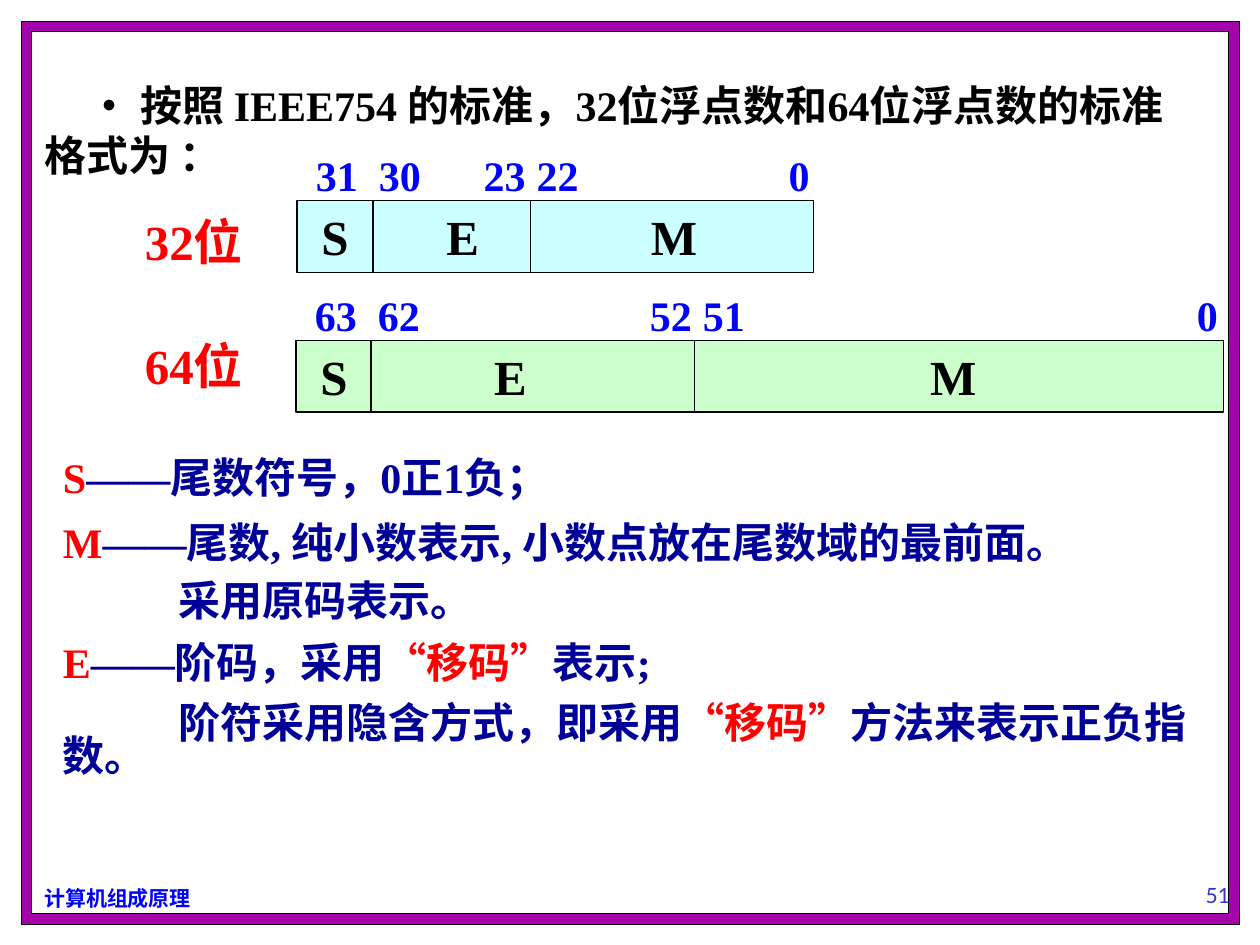
from lxml.etree import SubElement
from pptx import Presentation
from pptx.dml.color import RGBColor
from pptx.enum.shapes import MSO_CONNECTOR, MSO_SHAPE
from pptx.enum.text import MSO_ANCHOR, PP_ALIGN
from pptx.oxml.ns import qn
from pptx.util import Cm, Pt

BLACK = RGBColor(0x00, 0x00, 0x00)
WHITE = RGBColor(0xFF, 0xFF, 0xFF)
PURPLE = RGBColor(0xA6, 0x03, 0xAB)
RED = RGBColor(0xFF, 0x00, 0x00)
BLUE = RGBColor(0x00, 0x00, 0xFF)
NAVY = RGBColor(0x00, 0x00, 0x99)
INDIGO = RGBColor(0x33, 0x33, 0xCC)
CYAN = RGBColor(0xCC, 0xFF, 0xFF)
GREEN = RGBColor(0xCC, 0xFF, 0xCC)
SERIF = "Times New Roman"
HAN = "Noto Sans CJK SC"


def apply_format(target, values):
    """Set each named attribute of the target."""
    for name, value in values.items():
        setattr(target, name, value)


def add_span(paragraph, text, color, size=24, name=SERIF, bold=True):
    """Add one styled run, with a Chinese font for its Han characters."""
    span = paragraph.add_run()
    span.text = text
    apply_format(span.font, {"size": Pt(size), "bold": bold, "name": name})
    span.font.color.rgb = color
    SubElement(span.font._element, qn("a:ea"), typeface=HAN)


def set_indent(paragraph, indent):
    """Set the first-line indent in centimetres."""
    properties = paragraph._p.get_or_add_pPr()
    properties.set("marL", "0")
    properties.set("indent", str(Cm(indent)))


def add_text(page, left, top, width, height, text, color, **style):
    """Add a one-paragraph text box and return it."""
    box = page.shapes.add_textbox(Cm(left), Cm(top), Cm(width), Cm(height))
    box.text_frame.word_wrap = True
    add_span(box.text_frame.paragraphs[0], text, color, **style)
    return box


def add_panel(page, left, top, width, height, fill):
    """Add a filled rectangle with a thin black outline."""
    panel = page.shapes.add_shape(
        MSO_SHAPE.RECTANGLE, Cm(left), Cm(top), Cm(width), Cm(height))
    panel.shadow.inherit = False
    panel.fill.solid()
    panel.fill.fore_color.rgb = fill
    panel.line.color.rgb = BLACK
    panel.line.width = Pt(0.75)


def add_divider(page, x, top, height):
    """Add a vertical line between two fields."""
    line = page.shapes.add_connector(
        MSO_CONNECTOR.STRAIGHT, Cm(x), Cm(top), Cm(x), Cm(top + height))
    line.line.color.rgb = BLACK
    line.line.width = Pt(0.75)
    SubElement(line._element.spPr, qn("a:effectLst"))


def add_number_format(page, name, name_top, left, top, width, fill,
                      dividers, fields, bits):
    """Draw one floating-point layout with its fields and bit numbers."""
    height = 1.45
    add_panel(page, left, top, width, height, fill)
    for x in dividers:
        add_divider(page, x, top, height)
    for field, offset in fields.items():
        label = add_text(page, left + offset, top, 1.5, height,
                         field, BLACK, size=28)
        label.text_frame.vertical_anchor = MSO_ANCHOR.MIDDLE
    for bit, offset in bits.items():
        add_text(page, left + 0.13 + offset, top - 1.15, 1.5, 1.27, bit, BLUE)
    add_text(page, 2.67, name_top, 3, height, name, RED, size=28)


def add_explanation(page):
    """Explain the fields S, M and E."""
    lines = [
        (1, 0, [("S", RED), ("——尾数符号，0正1负；", NAVY)]),
        (0.75, 0, [("M", RED),
                   ("——尾数, 纯小数表示, 小数点放在尾数域的最前面。", NAVY)]),
        (0.6, 2.32, [("采用原码表示。", NAVY)]),
        (0.75, 0, [("E", RED), ("——阶码，采用", NAVY),
                   ("“移码”", RED), ("表示;", NAVY)]),
        (0.65, 2.32, [("阶符采用隐含方式，即采用", NAVY), ("“移码”", RED),
                      ("方法来表示正负指数。", NAVY)]),
    ]
    box = page.shapes.add_textbox(Cm(1.02), Cm(8.97), Cm(23.93), Cm(6.86))
    frame = box.text_frame
    frame.word_wrap = True
    for index, (spacing, indent, spans) in enumerate(lines):
        paragraph = frame.add_paragraph() if index else frame.paragraphs[0]
        apply_format(paragraph, {"line_spacing": spacing,
                                 "space_before": Pt(15)})
        set_indent(paragraph, indent)
        for text, color in spans:
            add_span(paragraph, text, color)


def add_frame(page):
    """Draw the page border, the footer and the page number."""
    add_panel(page, 0.43, 0.43, 24.56, 18.21, PURPLE)
    add_panel(page, 0.64, 0.64, 24.13, 17.78, WHITE)
    add_text(page, 0.64, 17.73, 5, 0.76, "计算机组成原理", BLUE,
             size=12, name=HAN)
    number = add_text(page, 23.7, 17.15, 1.7, 1.27, "51", INDIGO,
                      size=12, name="Lato", bold=False)
    number.text_frame.vertical_anchor = MSO_ANCHOR.BOTTOM
    number.text_frame.paragraphs[0].alignment = PP_ALIGN.CENTER


def main():
    """Build the slide on the IEEE754 number formats."""
    deck = Presentation()
    apply_format(deck, {"slide_width": Cm(25.4), "slide_height": Cm(19.05)})
    page = deck.slides.add_slide(deck.slide_layouts[6])
    add_frame(page)
    add_explanation(page)
    intro = add_text(
        page, 0.64, 1.47, 23.77, 2.29,
        "• 按照 IEEE754 的标准，32位浮点数和64位浮点数的标准格式为 ：", BLACK)
    set_indent(intro.text_frame.paragraphs[0], 0.9)
    add_number_format(page, "32位", 4.14, 5.99, 4.04, 10.41, CYAN,
                      [7.52, 10.69], {"S": 0.24, "E": 2.76, "M": 6.88},
                      {"31": 0, "30": 1.27, "23": 3.38, "22": 4.45, "0": 9.53})
    add_number_format(page, "64位", 6.63, 5.97, 6.86, 18.69, GREEN,
                      [7.48, 14], {"S": 0.24, "E": 3.74, "M": 12.53},
                      {"63": 0, "62": 1.27, "52": 6.75, "51": 7.82, "0": 17.78})
    deck.save("out.pptx")


if __name__ == "__main__":
    main()
